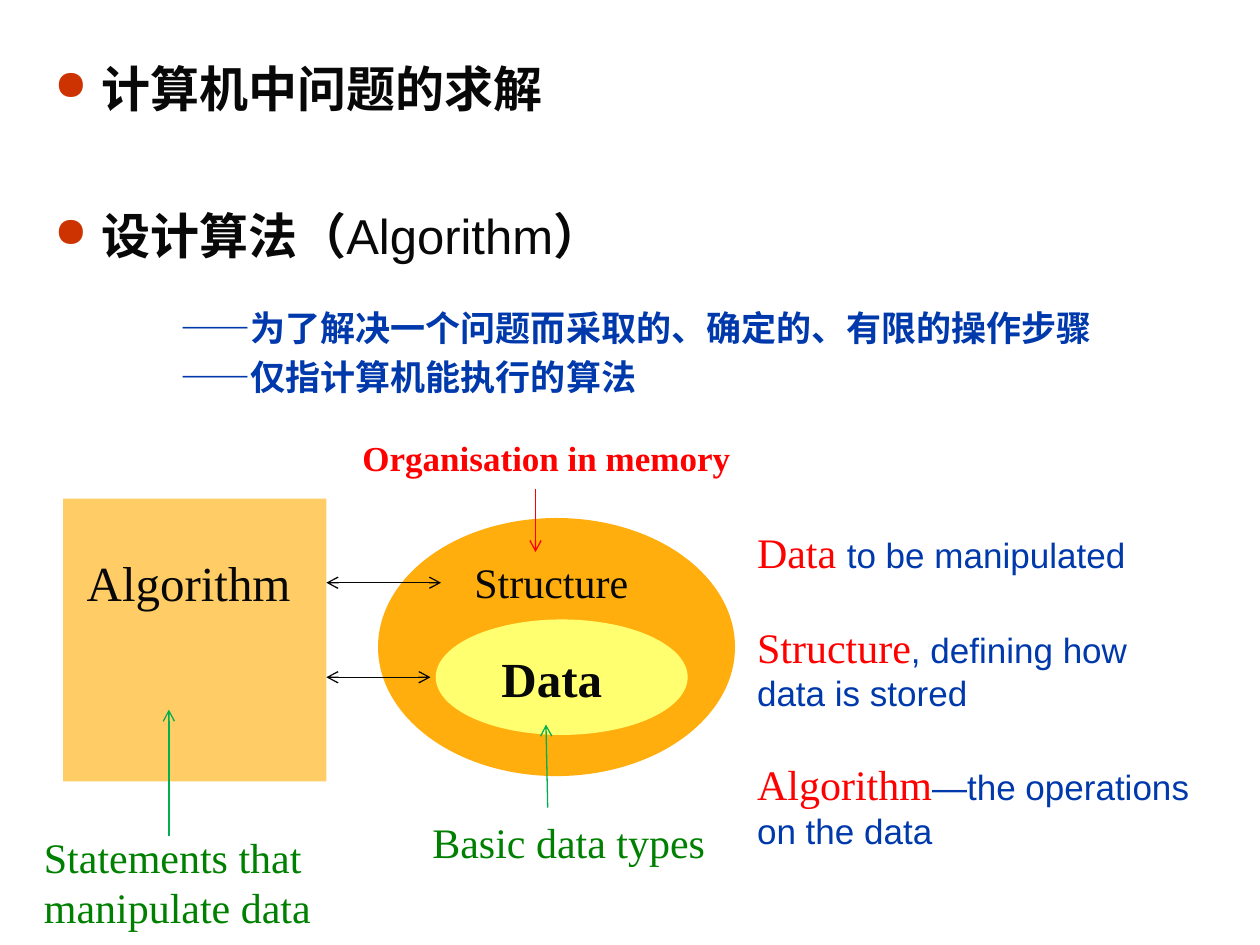
from lxml import etree
from pptx import Presentation
from pptx.dml.color import RGBColor
from pptx.enum.shapes import MSO_CONNECTOR, MSO_SHAPE
from pptx.enum.text import MSO_ANCHOR
from pptx.oxml.ns import qn
from pptx.util import Pt

STRAIGHT = MSO_CONNECTOR.STRAIGHT
RECTANGLE, OVAL = MSO_SHAPE.RECTANGLE, MSO_SHAPE.OVAL
TOP, MIDDLE = MSO_ANCHOR.TOP, MSO_ANCHOR.MIDDLE
SANS, SERIF = "Arial", "Times New Roman"
INK, BLUE, RED, GREEN = "080808", "0039AC", "FF0000", "008000"
ARROW_GREEN, ARROW_BLACK, BULLET = "00B050", "060606", "CC3300"


def color(hex_string):
    return RGBColor.from_string(hex_string)


def add_runs(paragraph, runs):
    """Each run is (text, size, font name, colour, bold)."""
    for text, size, name, hex_string, bold in runs:
        run = paragraph.add_run()
        run.text = text
        run.font.size = Pt(size)
        run.font.name = name
        run.font.bold = bold
        run.font.color.rgb = color(hex_string)


def add_text(slide, left, top, width, height, runs, anchor=TOP):
    shape = slide.shapes.add_textbox(Pt(left), Pt(top), Pt(width), Pt(height))
    text_frame = shape.text_frame
    text_frame.word_wrap = True
    text_frame.vertical_anchor = anchor
    add_runs(text_frame.paragraphs[0], runs)
    return text_frame


def add_block(slide, kind, left, top, width, height, fill):
    shape = slide.shapes.add_shape(kind, Pt(left), Pt(top), Pt(width), Pt(height))
    shape.shadow.inherit = False
    shape.fill.solid()
    shape.fill.fore_color.rgb = color(fill)
    shape.line.fill.background()


def add_arrow(slide, start, end, hex_string, double=False):
    connector = slide.shapes.add_connector(
        STRAIGHT, Pt(start[0]), Pt(start[1]), Pt(end[0]), Pt(end[1]))
    connector.line.color.rgb = color(hex_string)
    connector.line.width = Pt(0.75)
    line = connector.line._get_or_add_ln()
    for tag in ("a:headEnd", "a:tailEnd") if double else ("a:tailEnd",):
        etree.SubElement(line, qn(tag), type="arrow")
    etree.SubElement(connector._element.spPr, qn("a:effectLst"))


def indent(paragraph, margin, first_line):
    properties = paragraph._p.get_or_add_pPr()
    properties.set("marL", str(Pt(margin)))
    properties.set("indent", str(Pt(first_line)))
    return properties


def add_bullet(paragraph):
    paragraph.space_before = Pt(5.6)
    properties = indent(paragraph, 27, -27)
    bullet_color = etree.SubElement(properties, qn("a:buClr"))
    etree.SubElement(bullet_color, qn("a:srgbClr"), val=BULLET)
    etree.SubElement(properties, qn("a:buSzPct"), val="85000")
    etree.SubElement(properties, qn("a:buChar"), char="●")


def add_title(slide, left, top, width, height):
    runs = [("计算机中问题的求解", 28, SANS, INK, True)]
    text_frame = add_text(slide, left, top, width, height, runs, MIDDLE)
    add_bullet(text_frame.paragraphs[0])


def add_definition(slide, left, top, width, height):
    runs = [("设计算法（", 28, SANS, INK, True),
            ("Algorithm", 28, SANS, INK, False),
            ("）", 28, SANS, INK, True)]
    text_frame = add_text(slide, left, top, width, height, runs)
    add_bullet(text_frame.paragraphs[0])
    details = [("——为了解决一个问题而采取的、确定的、有限的操作步骤", 2, 0),
               ("——仅指计算机能执行的算法", 1, 4)]
    for text, line_spacing, space_before in details:
        paragraph = text_frame.add_paragraph()
        paragraph.line_spacing = float(line_spacing)
        paragraph.space_before = Pt(space_before)
        indent(paragraph, 36, 36)
        add_runs(paragraph, [(text, 20, SANS, BLUE, True)])


def add_algorithm(slide, left, top, width, height):
    add_block(slide, RECTANGLE, left, top, width, height, "FFCC66")
    add_text(slide, left + 6.5, top + 27, width + 2, 41,
             [("Algorithm", 28, SERIF, INK, False)])
    bottom = top + height
    add_arrow(slide, (left + 60.5, bottom + 31), (left + 60.5, bottom - 41), ARROW_GREEN)
    add_text(slide, left - 18, bottom + 25, 176, 65.5,
             [("Statements that manipulate data", 24, SERIF, GREEN, False)])


def add_data_structure(slide, left, top, width, height):
    add_block(slide, OVAL, left, top, width, height, "FFAE0D")
    add_text(slide, left - 16, top - 50, 240, 32,
             [("Organisation in memory", 20, SERIF, RED, True)])
    add_arrow(slide, (left + 90, top - 16.5), (left + 90, top + 19.5), RED)
    add_text(slide, left + 48, top + 18.5, 123, 30,
             [("Structure", 24, SERIF, INK, False)])
    add_block(slide, OVAL, left + 33, top + 58, 144, 66, "FFFF70")
    add_text(slide, left + 63.5, top + 71, 80, 41,
             [("Data", 28, SERIF, INK, True)])
    bottom = top + height
    add_text(slide, left + 24, bottom + 19.5, 180, 36,
             [("Basic data types", 24, SERIF, GREEN, False)])
    add_arrow(slide, (left + 97, bottom + 18), (left + 96, bottom - 29.5), ARROW_GREEN)


def add_links(slide, left, top, width, height):
    """Double arrows between the algorithm and the two data layers."""
    add_arrow(slide, (left, top), (left + width, top), ARROW_BLACK, True)
    bottom = top + height
    add_arrow(slide, (left, bottom), (left + width - 6, bottom), ARROW_BLACK, True)


def add_explanations(slide, left, top, width):
    explanations = [(0, 36, "Data ", "to be manipulated"),
                    (54, 60.5, "Structure", ", defining how data is stored"),
                    (132.5, 60.5, "Algorithm", "—the operations on the data")]
    for offset, height, term, meaning in explanations:
        add_text(slide, left, top + offset, width, height,
                 [(term, 24, SERIF, RED, False), (meaning, 20, SANS, BLUE, False)])


def main():
    presentation = Presentation()
    presentation.slide_width, presentation.slide_height = Pt(720), Pt(540)
    slide = presentation.slides.add_slide(presentation.slide_layouts[6])
    add_title(slide, 24, 18, 304, 64)
    add_definition(slide, 24, 114, 672, 144)
    add_algorithm(slide, 36, 285, 150.5, 161.5)
    add_data_structure(slide, 216, 296, 204, 147.5)
    add_links(slide, 186.5, 333, 65.5, 54)
    add_explanations(slide, 425.5, 297.5, 264)
    presentation.save("out.pptx")


if __name__ == "__main__":
    main()
